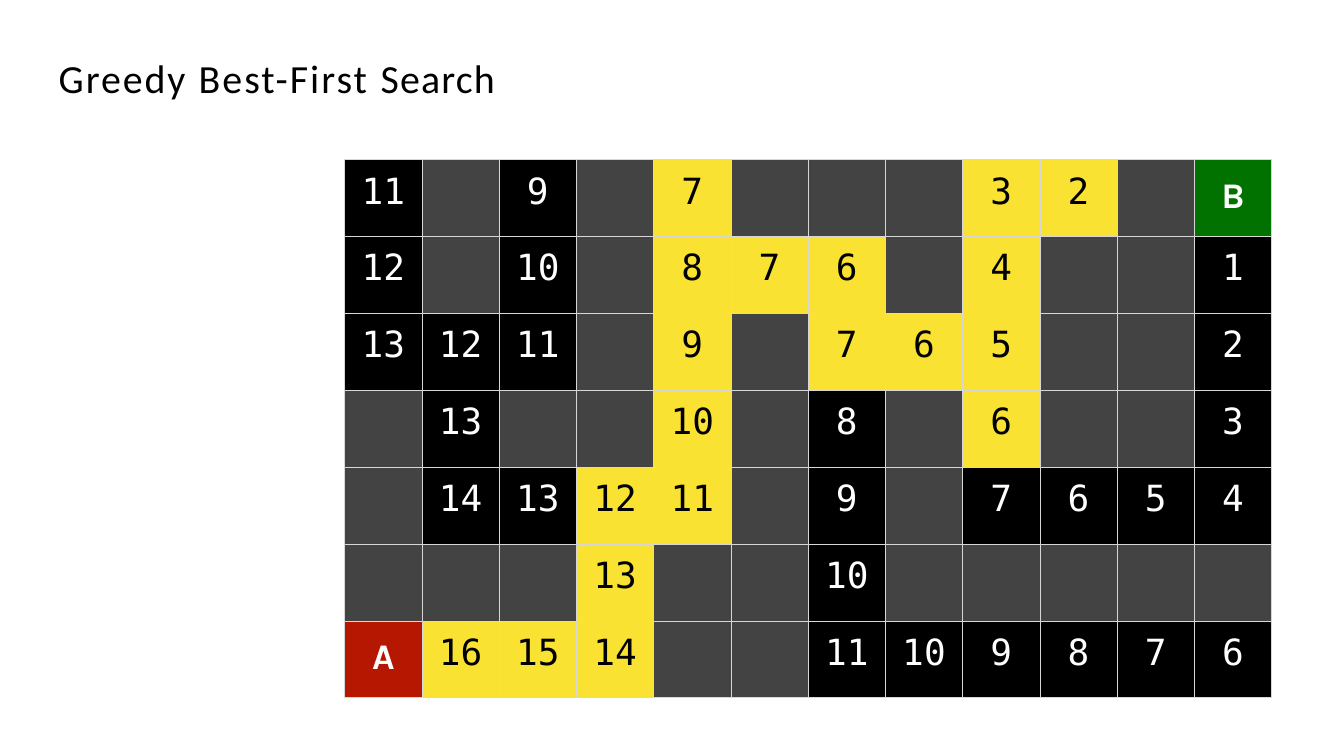
from lxml import etree
from pptx import Presentation
from pptx import util as u
from pptx.dml.color import RGBColor
from pptx.enum import text
from pptx.oxml import ns

PX = 9144  # 100 px to the inch
COLORS = {
    "wall": "434343", "open": "000000", "path": "FAE232",
    "start": "B51700", "goal": "017100", "border": "D6D7D6",
    "light": "FFFFFF", "dark": "000000",
}
# "#" is a wall, "*" marks a cell on the explored path
MAZE = """
11 # 9 # 7* # # # 3* 2* # B
12 # 10 # 8* 7* 6* # 4* # # 1
13 12 11 # 9* # 7* 6* 5* # # 2
# 13 # # 10* # 8 # 6* # # 3
# 14 13 12* 11* # 9 # 7 6 5 4
# # # 13* # # 10 # # # # #
A 16* 15* 14* # # 11 10 9 8 7 6
"""
TITLE = [("Greedy ", 230), ("Best-First ", 240), ("Search", 140)]
TITLE_FONT = {"name": "Calibri", "size": u.Pt(47), "bold": False}
NUMBER_FONT = {"name": "DejaVu Sans Mono", "size": u.Pt(42.5), "bold": False}
LETTER_FONT = {"name": "Karla", "size": u.Pt(42.5), "bold": True}


def px(*lengths):
    return [u.Emu(n * PX) for n in lengths]


def set_all(obj, values):
    for name, value in values.items():
        setattr(obj, name, value)


def margins(left, top, right, bottom):
    names = ("margin_left", "margin_top", "margin_right", "margin_bottom")
    return dict(zip(names, px(left, top, right, bottom)))


def add_run(p, words, font, color, spacing=0):
    """Add a run; spacing is in hundredths of a point."""
    r = p.add_run()
    r.text = words
    set_all(r.font, font)
    r.font.color.rgb = RGBColor.from_string(COLORS[color])
    r._r.get_or_add_rPr().set("spc", str(spacing))


def add_title(slide):
    sp = slide.shapes.title
    set_all(sp, dict(zip(("left", "top", "width", "height"), px(96, 86, 807, 81))))
    tf = sp.text_frame
    set_all(tf, {**margins(0, 1, 0, 0), "word_wrap": True,
                 "vertical_anchor": text.MSO_ANCHOR.MIDDLE,
                 "auto_size": text.MSO_AUTO_SIZE.SHAPE_TO_FIT_TEXT})
    p = tf.paragraphs[0]
    p.alignment = text.PP_ALIGN.LEFT
    for words, spacing in TITLE:
        add_run(p, words, TITLE_FONT, "dark", spacing)


def add_borders(cell):
    tc_pr = cell._tc.get_or_add_tcPr()
    for i, side in enumerate(("lnL", "lnR", "lnT", "lnB")):
        ln = etree.Element(ns.qn(f"a:{side}"), w=str(u.Pt(1)))
        fill = etree.SubElement(ln, ns.qn("a:solidFill"))
        etree.SubElement(fill, ns.qn("a:srgbClr"), val=COLORS["border"])
        tc_pr.insert(i, ln)


def cell_kind(mark):
    if mark.endswith("*"):
        return "path"
    return {"#": "wall", "A": "start", "B": "goal"}.get(mark, "open")


def fill_cell(cell, mark):
    kind = cell_kind(mark)
    is_letter = kind in ("start", "goal")
    cell.fill.solid()
    cell.fill.fore_color.rgb = RGBColor.from_string(COLORS[kind])
    add_borders(cell)
    set_all(cell, margins(0, 26 if is_letter else 18, 0, 0))
    if kind == "wall":
        return
    label = mark.rstrip("*")
    p = cell.text_frame.paragraphs[0]
    p.alignment = text.PP_ALIGN.CENTER
    add_run(p, label, LETTER_FONT if is_letter else NUMBER_FONT,
            "dark" if kind == "path" else "light",
            20 if len(label) == 2 else 0)


def add_maze(slide):
    rows = [line.split() for line in MAZE.strip().splitlines()]
    table = slide.shapes.add_table(len(rows), len(rows[0]),
                                   *px(564, 261, 1517, 881)).table
    set_all(table, {"first_row": False, "horz_banding": False})
    for i, row in enumerate(rows):
        for j, mark in enumerate(row):
            fill_cell(table.cell(i, j), mark)


def main():
    prs = Presentation()
    prs.slide_width, prs.slide_height = px(2199, 1237)
    slide = prs.slides.add_slide(prs.slide_layouts[5])
    add_title(slide)
    add_maze(slide)
    prs.save("out.pptx")


if __name__ == "__main__":
    main()
